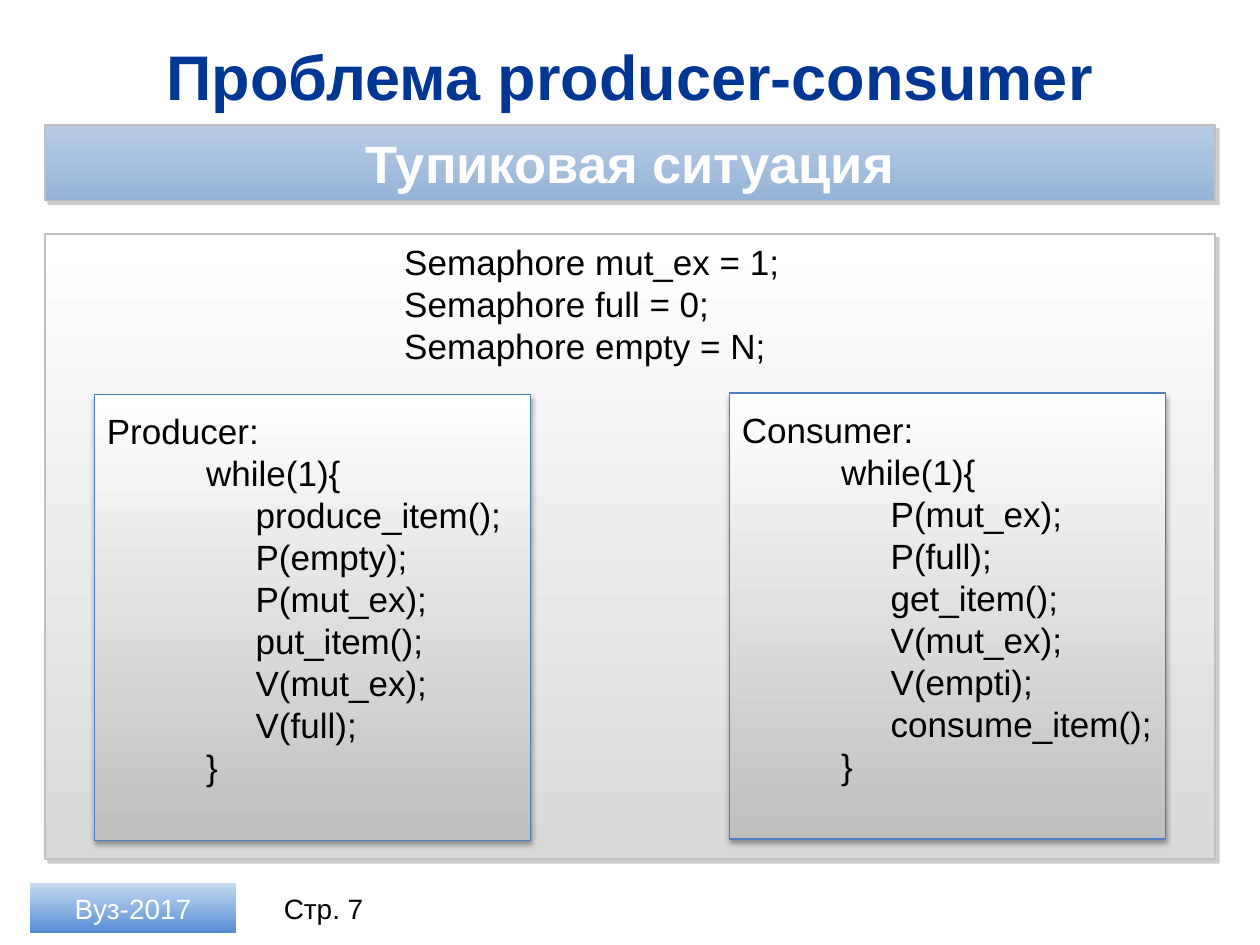
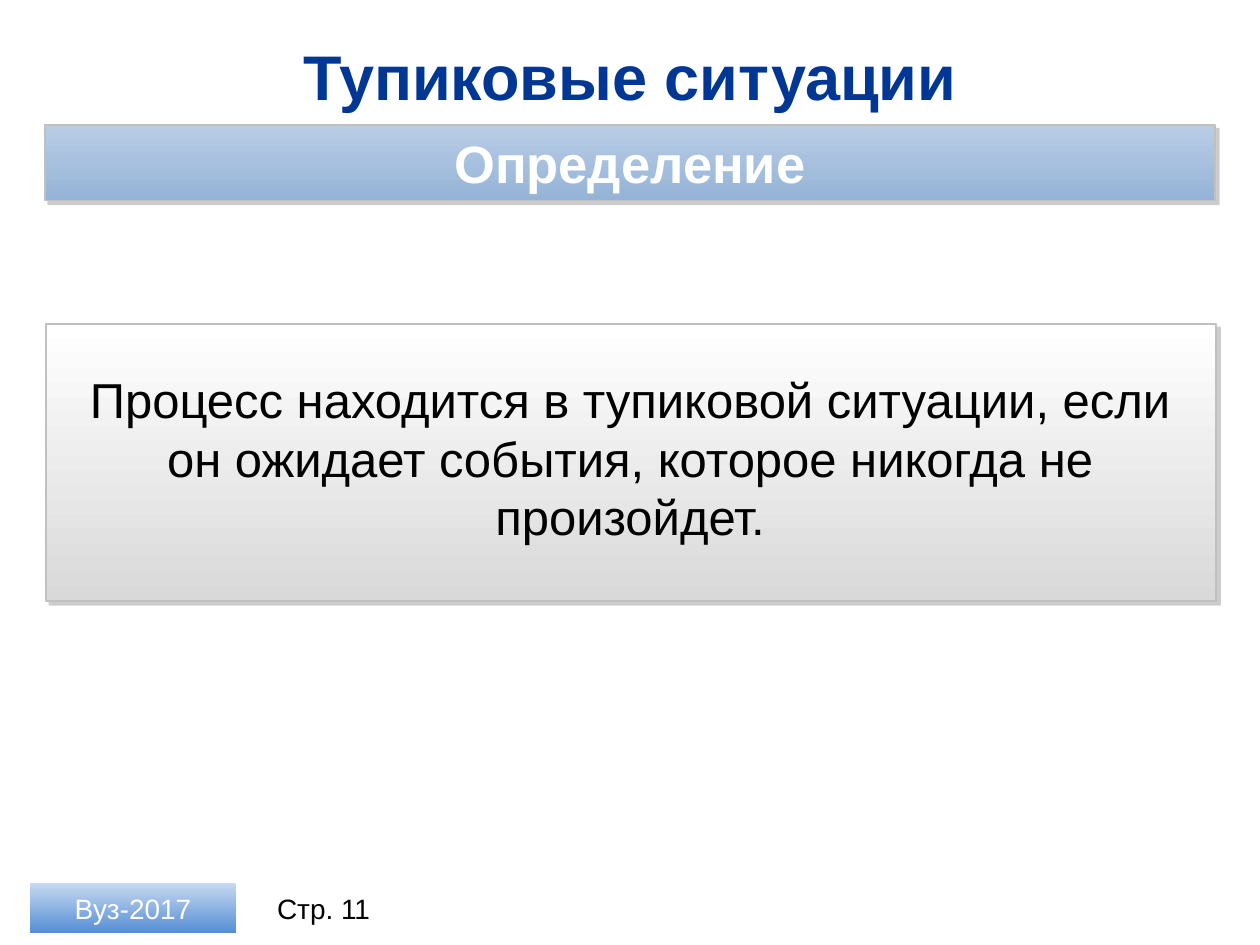
import pptx
import pptx.util
import pptx.dml.color
import pptx.enum.shapes
import pptx.enum.text
import pptx.oxml
import pptx.oxml.ns

Pt = pptx.util.Pt
ALIGN = pptx.enum.text.PP_ALIGN
ANCHOR = pptx.enum.text.MSO_ANCHOR

# Content; a code line is (indent level, text)
SEMAPHORES = [
    (0, "Semaphore mut_ex = 1;"),
    (0, "Semaphore full = 0;"),
    (0, "Semaphore empty = N;"),
]
LOOPS = [
    ("Producer:", ["produce_item();", "P(empty);", "P(mut_ex);",
                   "put_item();", "V(mut_ex);", "V(full);"]),
    ("Consumer:", ["P(mut_ex);", "P(full);", "get_item();",
                   "V(mut_ex);", "V(empti);", "consume_item();"]),
]
DEADLOCK = {"title": "Проблема producer-consumer",
            "band": "Тупиковая ситуация", "page": "Стр. 7"}
MEANING = {"title": "Тупиковые ситуации",
           "band": "Определение", "page": "Стр. 11"}
MEANING_TEXT = ("Процесс находится в тупиковой ситуации, если он ожидает "
                "события, которое никогда не произойдет.")
FOOTER = "Вуз-2017"

# Shared look: gradients run from top to bottom
FONT = "Arial"
NAVY, WHITE, BLACK = "003794", "FFFFFF", "000000"
BAND = ("B9CDE5", "95B3D7")
PANEL = (WHITE, "D9D9D9")
CARD = (WHITE, "BFBFBF")
BADGE = ("C6D9F1", "558ED5")
GRAY_LINE, BLUE_LINE = ("C0C0C0", 1), ("4B7EBC", 0.75)
# Shadow: colour, opacity %, blur, distance, angle
HARD = ("808080", 40, 0, 3, 45)
SOFT = (BLACK, 35, 3.1, 1.8, 90)

# Shared grid
LEFT, WIDE = 25.5, 668.9
FOOT_TOP, FOOT_TALL = 504.7, 28.5
INDENTS = (0, 56.7, 85)


def color(code):
    return pptx.dml.color.RGBColor.from_string(code)


def write(shape, lines, size, ink=BLACK, bold=False, align=ALIGN.LEFT,
          anchor=ANCHOR.TOP):
    frame = shape.text_frame
    frame.word_wrap = True
    frame.vertical_anchor = anchor
    frame.text = "\n".join(text for level, text in lines)
    for para, (level, text) in zip(frame.paragraphs, lines):
        para.alignment = align
        if level:
            props = para._p.get_or_add_pPr()
            props.set("marL", str(Pt(INDENTS[level])))
            props.set("indent", "0")
        font = para.runs[0].font
        font.name, font.size, font.bold = FONT, Pt(size), bold
        font.color.rgb = color(ink)


def label(shape, text, size, ink, bold=False):
    write(shape, [(0, text)], size, ink, bold, ALIGN.CENTER, ANCHOR.MIDDLE)


def add_text(slide, box):
    return slide.shapes.add_textbox(*map(Pt, box))


def add_shadow(shape, shade, alpha, blur, dist, angle):
    effects = shape._element.spPr.find(pptx.oxml.ns.qn("a:effectLst"))
    effects.append(pptx.oxml.parse_xml(
        f'<a:outerShdw {pptx.oxml.ns.nsdecls("a")} blurRad="{Pt(blur)}" '
        f'dist="{Pt(dist)}" dir="{angle * 60000}" algn="ctr" '
        f'rotWithShape="0"><a:srgbClr val="{shade}">'
        f'<a:alpha val="{alpha * 1000}"/></a:srgbClr></a:outerShdw>'))


def add_box(slide, box, shades, line=None, shadow=None):
    shape = slide.shapes.add_shape(
        pptx.enum.shapes.MSO_SHAPE.RECTANGLE, *map(Pt, box))
    shape.fill.gradient()
    shape.fill.gradient_angle = 270
    for stop, shade in zip(shape.fill.gradient_stops, shades):
        stop.color.rgb = color(shade)
    if line:
        shape.line.color.rgb = color(line[0])
        shape.line.width = Pt(line[1])
    else:
        shape.line.fill.background()
    shape.shadow.inherit = False
    if shadow:
        add_shadow(shape, *shadow)
    return shape


def add_slide(deck, heads):
    slide = deck.slides.add_slide(deck.slide_layouts[5])
    # Title
    title = slide.shapes.title
    title.left, title.top, title.width, title.height = map(
        Pt, (LEFT, 18.7, WIDE, 49))
    label(title, heads["title"], 36, NAVY, True)
    # Footer
    page = add_text(slide, (146, FOOT_TOP, 77.8, FOOT_TALL))
    label(page, heads["page"], 16, BLACK)
    badge = add_box(slide, (17.3, FOOT_TOP, 117.4, FOOT_TALL), BADGE)
    label(badge, FOOTER, 16, WHITE)
    # Subtitle band
    band = add_box(slide, (LEFT, 71.5, WIDE, 43.2), BAND, GRAY_LINE, HARD)
    label(band, heads["band"], 30, WHITE, True)
    return slide


def add_panel(slide, left, top, tall):
    add_box(slide, (left, top, WIDE, tall), PANEL, GRAY_LINE, HARD)


def main():
    deck = pptx.Presentation()
    deck.slide_width, deck.slide_height = Pt(720), Pt(540)

    # Slide with the two loops
    slide = add_slide(deck, DEADLOCK)
    add_panel(slide, LEFT, 133.9, 357.1)
    write(add_text(slide, (223.9, 133.9, 272.2, 80)), SEMAPHORES, 20)
    card_top, card_wide, card_step = 225.3, 249.1, 362.9
    for i, (name, calls) in enumerate(LOOPS):
        left = 54 + i * card_step
        top = card_top - i * 0.7
        add_box(slide, (left, top, card_wide, 254.9), CARD, BLUE_LINE, SOFT)
        lines = [(0, name), (1, "while(1){"),
                 *((2, call) for call in calls), (1, "}")]
        write(add_text(slide, (left, top + 5.1, card_wide, 225.4)), lines, 20)

    # Slide with the definition
    slide = add_slide(deck, MEANING)
    add_panel(slide, 26.2, 185.1, 158.4)
    write(add_text(slide, (36.7, 207.5, 646.6, 108.7)), [(0, MEANING_TEXT)],
          28, align=ALIGN.CENTER)

    deck.save("out.pptx")


if __name__ == "__main__":
    main()
